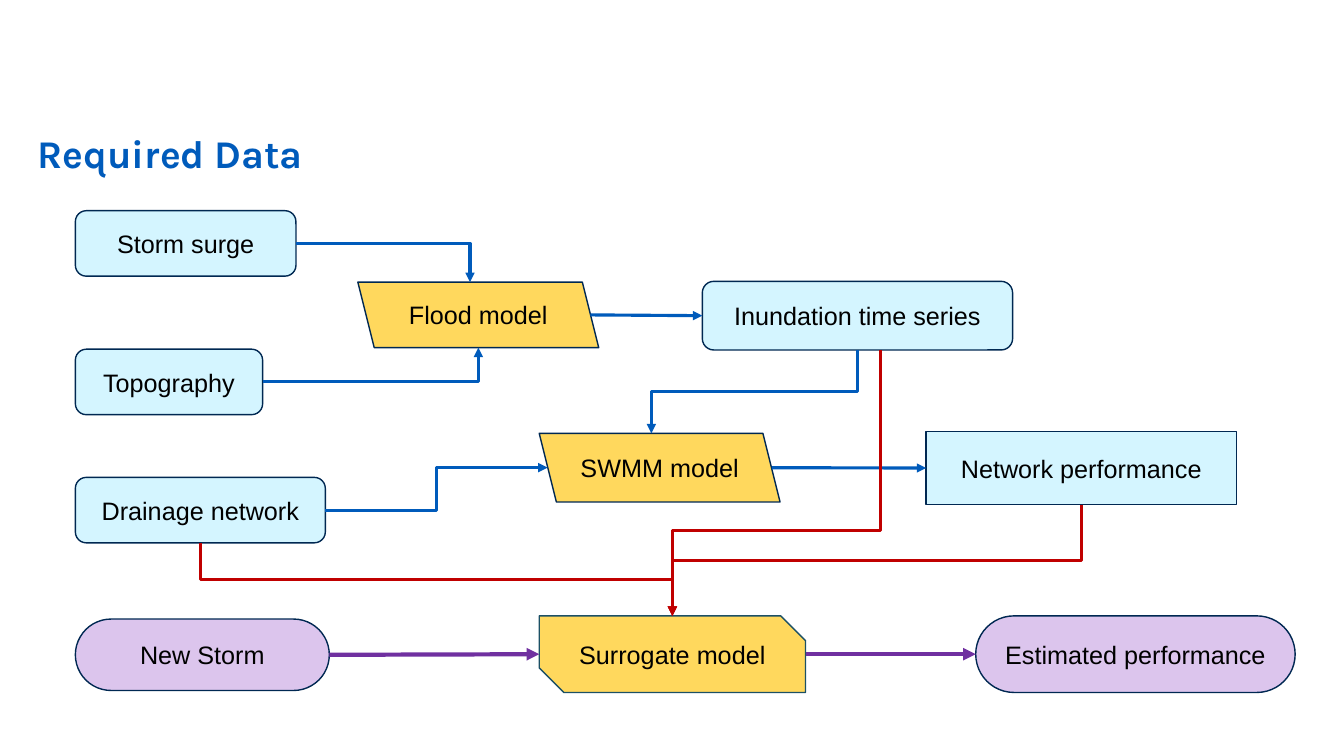
import pptx
import pptx.util
from lxml import etree
from pptx.dml.color import RGBColor
from pptx.enum.shapes import MSO_CONNECTOR, MSO_SHAPE
from pptx.enum.text import MSO_ANCHOR, PP_ALIGN
from pptx.oxml.ns import qn
from pptx.util import Cm

BLUE = RGBColor(0x00, 0x5B, 0xBB)
NAVY = RGBColor(0x00, 0x28, 0x52)
TEAL = RGBColor(0x1C, 0x50, 0x65)
SKY = RGBColor(0xD4, 0xF5, 0xFF)
GOLD = RGBColor(0xFF, 0xD8, 0x5D)
LILAC = RGBColor(0xDC, 0xC5, 0xED)
RED = RGBColor(0xC0, 0x00, 0x00)
PURPLE = RGBColor(0x70, 0x30, 0xA0)
BLACK = RGBColor(0x00, 0x00, 0x00)


class FlowSlide:
    """Style and current slide of the flow chart."""
    body_font, title_font = "Arial", "Karla"

    def __init__(self, prs):
        self.s = prs.slides.add_slide(prs.slide_layouts[5])

    def add_text(self, tf, text, font, size, color, bold=False):
        p = tf.paragraphs[0]
        r = p.add_run()
        r.text = text
        r.font.name, r.font.size, r.font.bold = font, pptx.util.Pt(size), bold
        r.font.color.rgb = color
        return p

    def title(self, text, x, y, w, h):
        sp = self.s.shapes.title
        sp.left, sp.top, sp.width, sp.height = Cm(x), Cm(y), Cm(w), Cm(h)
        tf = sp.text_frame
        tf.vertical_anchor = MSO_ANCHOR.BOTTOM
        p = self.add_text(tf, text, self.title_font, 28, BLUE, True)
        p.alignment, p.line_spacing = PP_ALIGN.LEFT, 0.9

    def box(self, text, x, y, w, h, kind, fill, line=NAVY, adj=(), flip=False):
        sp = self.s.shapes.add_shape(kind, Cm(x), Cm(y), Cm(w), Cm(h))
        sp.shadow.inherit = False
        sp.fill.solid()
        sp.fill.fore_color.rgb = fill
        sp.line.color.rgb, sp.line.width = line, pptx.util.Pt(1)
        for i, value in enumerate(adj):
            sp.adjustments[i] = value
        if flip:
            sp._element.spPr.find(qn("a:xfrm")).set("flipH", "1")
        tf = sp.text_frame
        tf.word_wrap, tf.vertical_anchor = True, MSO_ANCHOR.MIDDLE
        p = self.add_text(tf, text, self.body_font, 18, BLACK)
        p.alignment = PP_ALIGN.CENTER
        return sp

    def data(self, text, x, y, w, h):
        return self.box(text, x, y, w, h, MSO_SHAPE.ROUNDED_RECTANGLE, SKY)

    def model(self, text, x, y, w, h):
        return self.box(text, x, y, w, h, MSO_SHAPE.PARALLELOGRAM, GOLD, flip=True)

    def terminal(self, text, x, y, w, h):
        return self.box(text, x, y, w, h, MSO_SHAPE.ROUNDED_RECTANGLE, LILAC, adj=(0.5,))

    def arrow(self, start, end, color=BLUE, width=2.25, route="straight", bend=0.5):
        """Routes: straight, corner (one turn), across or down (two turns)."""
        (x1, y1), (x2, y2) = start, end
        if route == "down":
            # Lay the connector on its side; a quarter turn puts it back
            cx, cy, dx, dy = (x1 + x2) / 2, (y1 + y2) / 2, x2 - x1, y2 - y1
            x1, y1, x2, y2 = cx - dy / 2, cy + dx / 2, cx + dy / 2, cy - dx / 2
        kind = MSO_CONNECTOR.STRAIGHT if route == "straight" else MSO_CONNECTOR.ELBOW
        c = self.s.shapes.add_connector(kind, *(int(v) for v in (x1, y1, x2, y2)))
        c.line.color.rgb, c.line.width = color, pptx.util.Pt(width)
        spPr = c._element.spPr
        geom = spPr.find(qn("a:prstGeom"))
        if route == "down":
            spPr.find(qn("a:xfrm")).set("rot", "5400000")
        if route == "corner":
            geom.set("prst", "bentConnector2")
        if bend != 0.5:
            guides = geom.find(qn("a:avLst"))
            etree.SubElement(guides, qn("a:gd"), name="adj1", fmla=f"val {round(bend * 100000)}")
        etree.SubElement(spPr.find(qn("a:ln")), qn("a:tailEnd"), type="triangle")
        etree.SubElement(spPr, qn("a:effectLst"))


def side(sp, name, shift=0):
    """Middle of one side, moved sideways by shift cm."""
    fx, fy = {"left": (0, 0.5), "right": (1, 0.5), "top": (0.5, 0), "bottom": (0.5, 1)}[name]
    return sp.left + sp.width * fx + Cm(shift), sp.top + sp.height * fy


def main():
    prs = pptx.Presentation()
    prs.slide_width, prs.slide_height = Cm(33.87), Cm(19.05)
    flow = FlowSlide(prs)
    flow.title("Required Data", 0.69, 3.23, 19.3, 1.35)

    # Data and models
    surge = flow.data("Storm surge", 1.9, 5.31, 5.56, 1.65)
    topography = flow.data("Topography", 1.9, 8.8, 4.72, 1.65)
    drainage = flow.data("Drainage network", 1.9, 12.03, 6.3, 1.65)
    flood = flow.model("Flood model", 9.02, 7.11, 6.07, 1.65)
    swmm = flow.model("SWMM model", 13.59, 10.92, 6.07, 1.73)
    inundation = flow.data("Inundation time series", 17.7, 7.09, 7.82, 1.73)
    network = flow.box("Network performance", 23.34, 10.87, 7.82, 1.85,
                       MSO_SHAPE.RECTANGLE, SKY)

    # Surrogate row
    storm = flow.terminal("New Storm", 1.9, 15.6, 6.4, 1.8)
    surrogate = flow.box("Surrogate model", 13.59, 15.52, 6.71, 1.93,
                         MSO_SHAPE.SNIP_2_DIAG_RECTANGLE, GOLD, TEAL, (0, 0.322))
    estimate = flow.terminal("Estimated performance", 24.59, 15.52, 8.05, 1.93)

    # Model inputs and outputs; slant is the inset of a parallelogram's side
    slant = 0.21
    flow.arrow(side(surge, "right"), side(flood, "top", -slant), route="corner")
    flow.arrow(side(topography, "right"), side(flood, "bottom"), route="corner")
    flow.arrow(side(flood, "right", -slant), side(inundation, "left"))
    flow.arrow(side(inundation, "bottom"), side(swmm, "top", -slant), route="down")
    flow.arrow(side(drainage, "right"), side(swmm, "left", slant), route="across")
    flow.arrow(side(swmm, "right", -slant), side(network, "left"))

    # Training data for the surrogate
    target = side(surrogate, "top")
    flow.arrow(side(inundation, "bottom", 0.58), target, RED, route="down", bend=0.68)
    for source in (network, drainage):
        flow.arrow(side(source, "bottom"), target, RED, route="down")

    # Use of the surrogate
    flow.arrow(side(storm, "right"), side(surrogate, "left"), PURPLE, 3)
    flow.arrow(side(surrogate, "right"), side(estimate, "left"), PURPLE, 3)

    prs.save("out.pptx")


if __name__ == "__main__":
    main()
